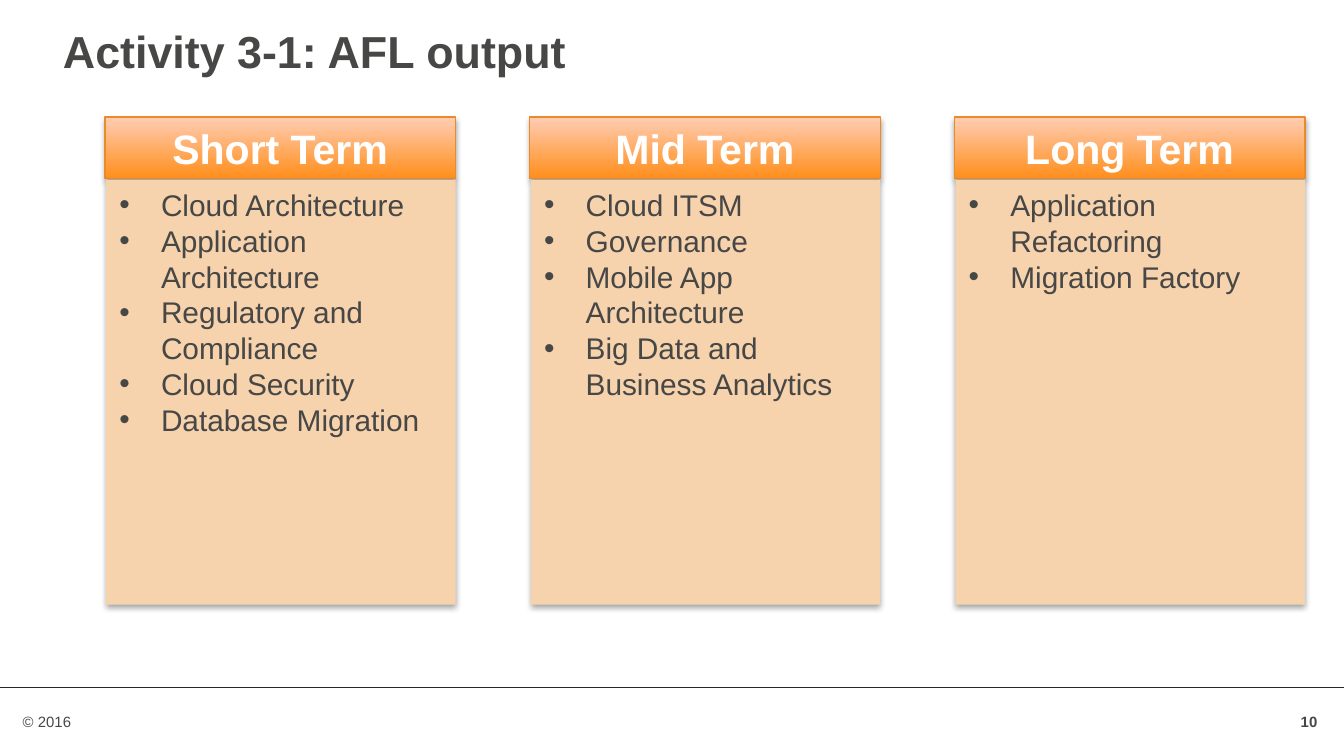
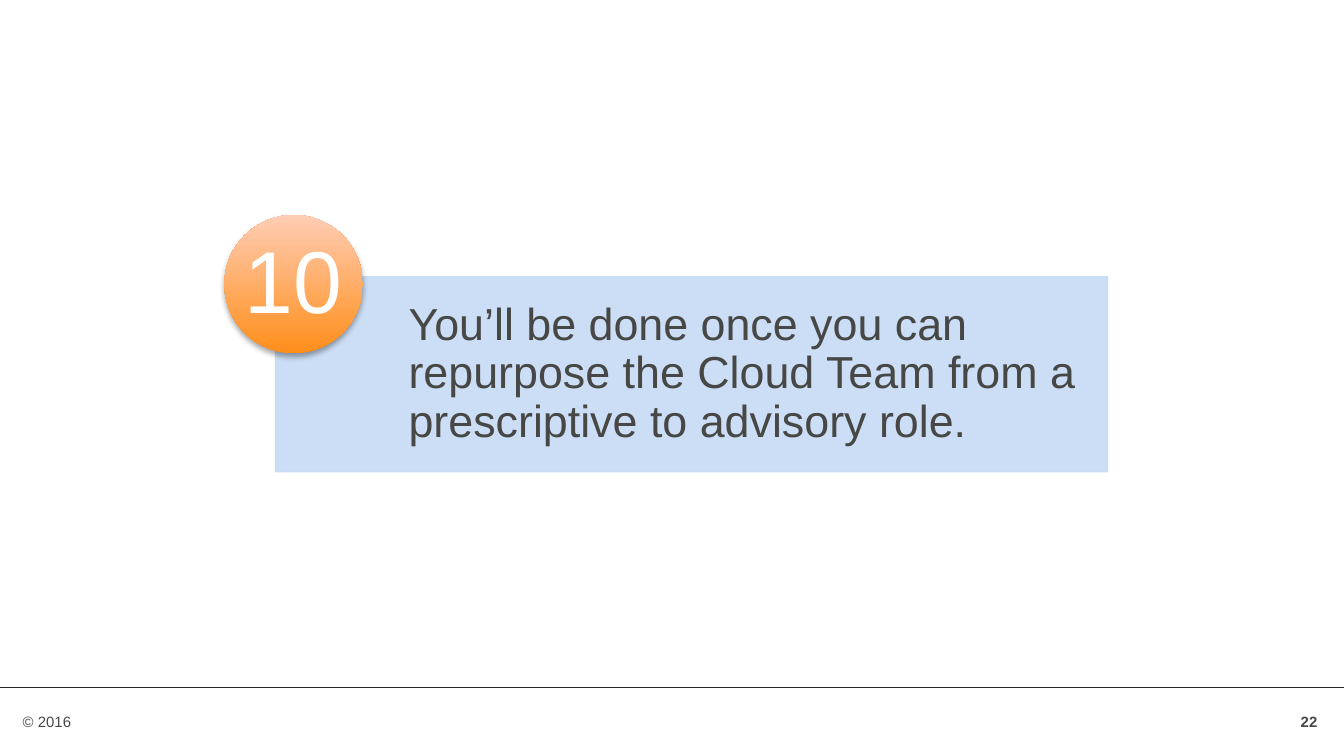
"""Build two slides: the AFL output by term, and the tenth closing rule."""
import pptx
import pptx.dml.color
import pptx.enum.shapes
import pptx.enum.text
import pptx.oxml
import pptx.oxml.ns
import pptx.util
from lxml import etree

Inches, Pt = pptx.util.Inches, pptx.util.Pt
SHAPE = pptx.enum.shapes.MSO_SHAPE
ALIGN = pptx.enum.text.PP_ALIGN
ANCHOR = pptx.enum.text.MSO_ANCHOR
qn = pptx.oxml.ns.qn

COLORS = {"text": "474746", "white": "FFFFFF", "rule": "272727", "orange": "FF8E1B",
          "peach": "FFCDB4", "edge": "E88B2B", "sand": "F6D2AD", "sky": "C6DBF4",
          "shadow": "000000"}
FONT = "Arial"
COPYRIGHT = "© 2016"

TITLE = "Activity 3-1: AFL output"
TERMS = [
    ("Short Term", ["Cloud Architecture", "Application Architecture",
                    "Regulatory and Compliance", "Cloud Security", "Database Migration"]),
    ("Mid Term", ["Cloud ITSM", "Governance", "Mobile App Architecture",
                  "Big Data and Business Analytics"]),
    ("Long Term", ["Application Refactoring", "Migration Factory"]),
]
RULE_NUMBER = "10"
RULE_TEXT = "You’ll be done once you can repurpose the Cloud Team from a prescriptive to advisory role."

TITLE_STYLE = {"size": Pt(24), "bold": True}
HEAD_STYLE = {"size": Pt(22), "bold": True}
ITEM_STYLE = {"size": Pt(16)}
FOOTER_STYLE = {"size": Pt(8)}
PAGE_STYLE = {"size": Pt(8), "bold": True}
RULE_STYLE = {"size": Pt(24)}
NUMBER_STYLE = {"size": Pt(47)}
CENTER = {"alignment": ALIGN.CENTER}
TIGHT = {"line_spacing": 0.9}
MIDDLE = {"vertical_anchor": ANCHOR.MIDDLE}

SLIDE_WIDTH = 10
COLUMN_LEFT, COLUMN_PITCH, COLUMN_WIDTH = 0.78, 3.16, 2.61
HEAD_TOP, HEAD_HEIGHT = 0.87, 0.46
LIST_TOP, LIST_HEIGHT = 1.34, 3.16
FOOTER_RULE_Y = 5.11


def rgb(name):
    return pptx.dml.color.RGBColor.from_string(COLORS[name])


def assign(target, values):
    for name, value in values.items():
        setattr(target, name, value)


def write(sp, lines, font, color="text", para=None, frame=None, bullet=False):
    tf = sp.text_frame
    assign(tf, {"word_wrap": True, "vertical_anchor": ANCHOR.TOP, **(frame or {})})
    for i, line in enumerate(lines):
        p = tf.add_paragraph() if i else tf.paragraphs[0]
        assign(p, {"alignment": ALIGN.LEFT, **(para or {})})
        r = p.add_run()
        r.text = line
        assign(r.font, {"name": FONT, **font})
        r.font.color.rgb = rgb(color)
        if bullet:
            pPr = p._p.get_or_add_pPr()
            pPr.set("marL", str(Inches(0.31)))
            pPr.set("indent", str(-Inches(0.31)))
            etree.SubElement(pPr, qn("a:buFont"), typeface=FONT)
            etree.SubElement(pPr, qn("a:buChar"), char="•")


def add_text(shapes, box, lines, font, **style):
    sp = shapes.add_textbox(*map(Inches, box))
    write(sp, lines, font, **style)


def add_box(shapes, kind, box, fill=None, line=None, alpha=None, shadow=True):
    sp = shapes.add_shape(kind, *map(Inches, box))
    if fill:
        sp.fill.solid()
        sp.fill.fore_color.rgb = rgb(fill)
    else:
        sp.fill.gradient()
        sp.fill.gradient_angle = 90
        for stop, name in zip(sp.fill.gradient_stops, ("orange", "peach")):
            stop.color.rgb = rgb(name)
    if line:
        sp.line.color.rgb = rgb(line)
        sp.line.width = Pt(0.75)
    else:
        sp.line.fill.background()
    if alpha:
        for clr in sp._element.spPr.iter(qn("a:srgbClr")):
            etree.SubElement(clr, qn("a:alpha"), val=str(alpha * 1000))
    sp.shadow.inherit = False
    if shadow:
        effects = sp._element.spPr.find(qn("a:effectLst"))
        outer = etree.SubElement(effects, qn("a:outerShdw"), blurRad=str(Pt(3.1)),
                                 dist=str(Pt(1.8)), dir="5400000", rotWithShape="0")
        clr = etree.SubElement(outer, qn("a:srgbClr"), val=COLORS["shadow"])
        etree.SubElement(clr, qn("a:alpha"), val="35000")
    return sp


def add_slide(prs, page):
    s = prs.slides.add_slide(prs.slide_layouts[6])
    s.background.fill.solid()
    s.background.fill.fore_color.rgb = rgb("white")
    add_text(s.shapes, (9.55, 5.22, 0.35, 0.3), [page], PAGE_STYLE,
             para={"alignment": ALIGN.RIGHT}, frame=MIDDLE)
    add_text(s.shapes, (0.07, 5.25, 5.51, 0.24), [COPYRIGHT], FOOTER_STYLE)
    for margin in (0, 0.1):
        rule = s.shapes.add_connector(
            pptx.enum.shapes.MSO_CONNECTOR.STRAIGHT, Inches(margin), Inches(FOOTER_RULE_Y),
            Inches(SLIDE_WIDTH - margin), Inches(FOOTER_RULE_Y))
        rule.line.color.rgb = rgb("rule")
        rule.line.width = Pt(0.25)
        etree.SubElement(rule._element.spPr, qn("a:effectLst"))
    return s


def build_terms(prs):
    s = add_slide(prs, "10")
    add_text(s.shapes, (0.37, 0.13, 8.97, 0.74), [TITLE], TITLE_STYLE)
    for i, (term, items) in enumerate(TERMS):
        left = COLUMN_LEFT + i * COLUMN_PITCH
        head = add_box(s.shapes, SHAPE.RECTANGLE,
                       (left, HEAD_TOP, COLUMN_WIDTH, HEAD_HEIGHT), line="edge")
        write(head, [term], HEAD_STYLE, "white", CENTER, MIDDLE)
        body = add_box(s.shapes, SHAPE.RECTANGLE,
                       (left + 0.01, LIST_TOP, COLUMN_WIDTH - 0.01, LIST_HEIGHT), "sand")
        write(body, items, ITEM_STYLE, bullet=True)


def build_rule(prs):
    s = add_slide(prs, "22")
    shapes = s.shapes.add_group_shape().shapes
    add_box(shapes, SHAPE.RECTANGLE, (2.05, 2.06, 6.19, 1.45), "sky", "sky", 90, False)
    inset = Inches(0.19)
    add_text(shapes, (3.04, 2.06, 5.2, 1.45), [RULE_TEXT], RULE_STYLE, para=TIGHT,
             frame={**MIDDLE, "margin_left": 0, "margin_top": inset,
                    "margin_right": inset, "margin_bottom": inset})
    add_box(shapes, SHAPE.OVAL, (1.67, 1.6, 1.03, 1.03))
    sides = ("left", "top", "right", "bottom")
    add_text(shapes, (1.82, 1.76, 0.73, 0.73), [RULE_NUMBER], NUMBER_STYLE, color="white",
             para={**CENTER, **TIGHT},
             frame={**MIDDLE, **{f"margin_{side}": 0 for side in sides}})


def main():
    prs = pptx.Presentation()
    prs.slide_width = Inches(SLIDE_WIDTH)
    prs.slide_height = Inches(SLIDE_WIDTH * 9 / 16)
    build_terms(prs)
    build_rule(prs)
    prs.save("out.pptx")


if __name__ == "__main__":
    main()
